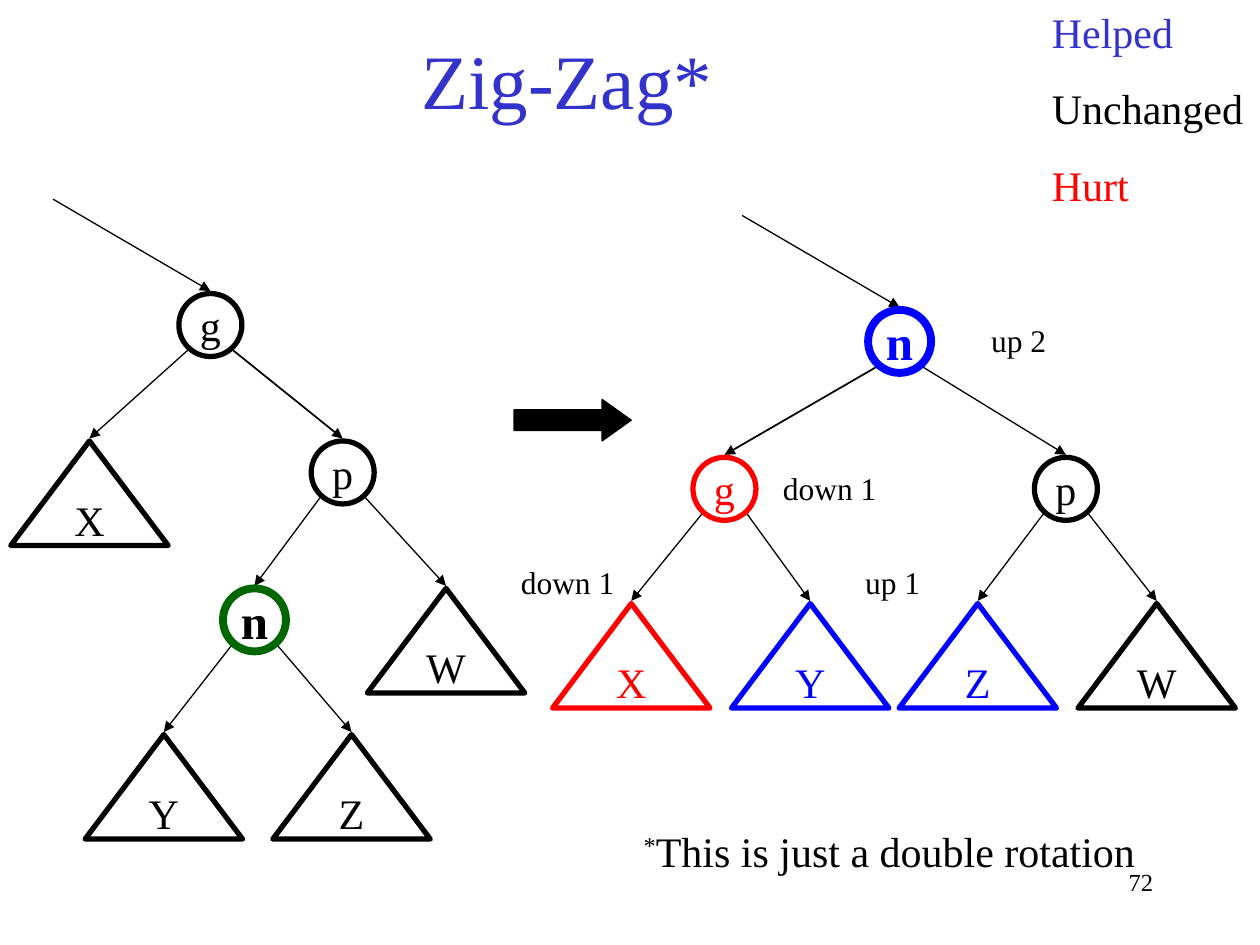
from dataclasses import dataclass

from lxml import etree
from pptx import Presentation
from pptx.dml.color import RGBColor
from pptx.enum.shapes import MSO_CONNECTOR, MSO_SHAPE
from pptx.enum.text import MSO_ANCHOR, MSO_AUTO_SIZE, PP_ALIGN
from pptx.oxml.ns import qn
from pptx.util import Inches, Pt

LEFT, CENTER, RIGHT = PP_ALIGN.LEFT, PP_ALIGN.CENTER, PP_ALIGN.RIGHT
MIDDLE = MSO_ANCHOR.MIDDLE
FIT_TEXT = MSO_AUTO_SIZE.SHAPE_TO_FIT_TEXT
STRAIGHT = MSO_CONNECTOR.STRAIGHT
CIRCLE, TRIANGLE = MSO_SHAPE.OVAL, MSO_SHAPE.ISOSCELES_TRIANGLE
RIGHT_ARROW = MSO_SHAPE.RIGHT_ARROW


@dataclass(frozen=True)
class Theme:
    font: str = "Times New Roman"
    black: RGBColor = RGBColor(0, 0, 0)
    title_blue: RGBColor = RGBColor(0x33, 0x33, 0xCC)
    helped: RGBColor = RGBColor(0, 0, 0xFF)
    hurt: RGBColor = RGBColor(0xFF, 0, 0)
    green: RGBColor = RGBColor(0, 0x66, 0)
    title_size: Pt = Pt(44)
    focus_size: Pt = Pt(28)
    body_size: Pt = Pt(24)
    label_size: Pt = Pt(18)
    number_size: Pt = Pt(14)


theme = Theme()


def style_text(para, size, color, align, bold=False):
    para.alignment = align
    for span in para.runs:
        span.font.name = theme.font
        span.font.size = size
        span.font.bold = bold
        span.font.color.rgb = color


def add_arrow(page, start_x, start_y, end_x, end_y, weight=0.75):
    arrow = page.shapes.add_connector(
        STRAIGHT, Inches(start_x), Inches(start_y), Inches(end_x), Inches(end_y))
    arrow.line.color.rgb = theme.black
    arrow.line.width = Pt(weight)
    etree.SubElement(arrow.line._get_or_add_ln(), qn("a:tailEnd"), type="triangle")
    etree.SubElement(arrow._element.spPr, qn("a:effectLst"))


deck = Presentation()
deck.slide_width, deck.slide_height = Inches(10), Inches(7.5)
page = deck.slides.add_slide(deck.slide_layouts[5])

title = page.shapes.title
title.left, title.top = Inches(0.25), Inches(0)
title.width, title.height = Inches(8.5), Inches(1.25)
title.text_frame.text = "Zig-Zag*"
title.text_frame.vertical_anchor = MIDDLE
style_text(title.text_frame.paragraphs[0], theme.title_size, theme.title_blue, CENTER)

becomes = page.shapes.add_shape(
    RIGHT_ARROW, Inches(4.08), Inches(3.17), Inches(0.93), Inches(0.33))
becomes.adjustments[1] = 0.7
becomes.shadow.inherit = False
becomes.fill.solid()
becomes.fill.fore_color.rgb = theme.black
becomes.line.color.rgb = theme.black
becomes.line.width = Pt(0.75)

node_size = 0.5
subtree_width, subtree_height = 1.25, 0.83
tip_gap = 0.02

before = {
    "g": (1.67, 2.33, theme.black),
    "p": (2.72, 3.5, theme.black),
    "n": (2.02, 4.67, theme.green),
    "X": (0.71, 3.5, theme.black),
    "W": (3.54, 4.67, theme.black),
    "Y": (1.3, 5.83, theme.black),
    "Z": (2.79, 5.83, theme.black),
}
after = {
    "n": (7.14, 2.46, theme.helped),
    "g": (5.75, 3.63, theme.hurt),
    "p": (8.46, 3.63, theme.black),
    "X": (5.01, 4.79, theme.hurt),
    "Y": (6.43, 4.79, theme.helped),
    "Z": (7.76, 4.79, theme.helped),
    "W": (9.18, 4.79, theme.black),
}
trees = [
    (before, "g", ["gX", "gp", "pn", "pW", "nY", "nZ"], "gp"),
    (after, "n", ["ng", "np", "gX", "gY", "pZ", "pW"], "ng"),
]

for nodes, root, edges, heavy_edge in trees:
    root_x, root_top, _ = nodes[root]
    add_arrow(page, root_x - 1.25, root_top - 0.75, root_x, root_top - tip_gap)
    for edge in edges:
        parent_x, parent_top, _ = nodes[edge[0]]
        child_x, child_top, _ = nodes[edge[1]]
        side = 0.18 if child_x > parent_x else -0.18
        add_arrow(page, parent_x + side, parent_top + 0.45,
                  child_x, child_top - tip_gap, 1 if edge == heavy_edge else 0.75)
    for name, (center_x, top, color) in nodes.items():
        is_subtree, is_focus = name.isupper(), name == "n"
        width = subtree_width if is_subtree else node_size
        height = subtree_height if is_subtree else node_size
        node = page.shapes.add_shape(
            TRIANGLE if is_subtree else CIRCLE,
            Inches(center_x - width / 2), Inches(top), Inches(width), Inches(height))
        node.shadow.inherit = False
        node.fill.background()
        node.line.color.rgb = color
        node.line.width = Pt(4.5 if is_focus else 3)
        frame = node.text_frame
        frame.word_wrap = False
        frame.vertical_anchor = MIDDLE
        frame.text = name
        style_text(frame.paragraphs[0],
                   theme.focus_size if is_focus else theme.body_size,
                   theme.black if color == theme.green else color, CENTER, is_focus)

labels = [
    ("up 2", 7.5, 2.5, 1.17, 0.4, theme.label_size, CENTER),
    ("down 1", 6, 3.67, 1.17, 0.4, theme.label_size, CENTER),
    ("up 1", 6.5, 4.42, 1.17, 0.4, theme.label_size, CENTER),
    ("down 1", 3.92, 4.42, 1.17, 0.4, theme.label_size, CENTER),
    ("72", 7.17, 6.83, 2.08, 0.5, theme.number_size, RIGHT),
]
for text, left, top, width, height, size, align in labels:
    box = page.shapes.add_textbox(Inches(left), Inches(top), Inches(width), Inches(height))
    box.text_frame.word_wrap = True
    box.text_frame.text = text
    style_text(box.text_frame.paragraphs[0], size, theme.black, align)

legend = page.shapes.add_textbox(Inches(8.25), Inches(0), Inches(1.75), Inches(1.72))
legend.text_frame.word_wrap = True
legend.text_frame.text = "Helped\nUnchanged\nHurt"
legend_colors = [theme.title_blue, theme.black, theme.hurt]
for index, para in enumerate(legend.text_frame.paragraphs):
    if index:
        para.space_before = Pt(15)
    style_text(para, theme.body_size, legend_colors[index], LEFT)

footnote = page.shapes.add_textbox(Inches(5.01), Inches(6.5), Inches(4.1), Inches(0.5))
footnote.text_frame.word_wrap = False
footnote.text_frame.auto_size = FIT_TEXT
para = footnote.text_frame.paragraphs[0]
for text in ("*", "This is just a double rotation"):
    para.add_run().text = text
style_text(para, theme.body_size, theme.black, LEFT)
para.runs[0].font._element.set("baseline", "30000")

deck.save("out.pptx")
